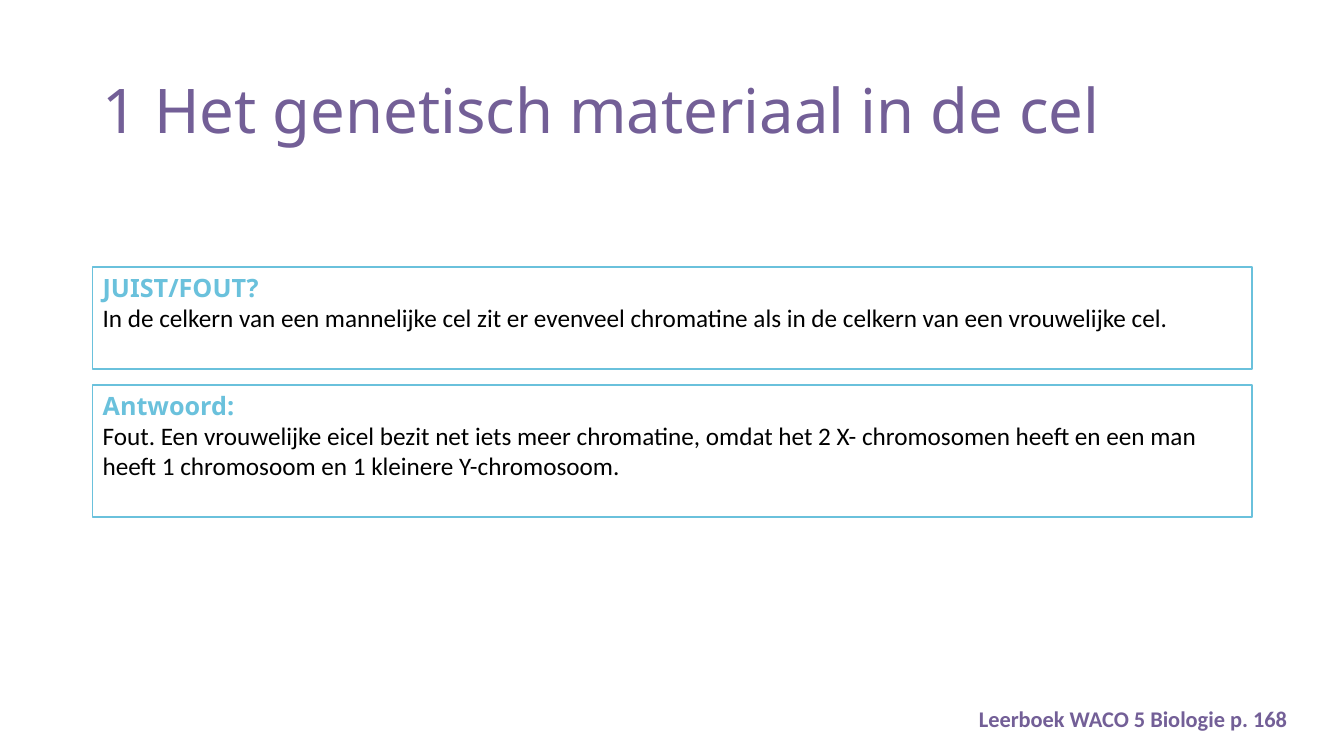
from dataclasses import dataclass

from pptx import Presentation
from pptx.dml.color import RGBColor
from pptx.enum.text import MSO_ANCHOR, MSO_AUTO_SIZE, PP_ALIGN
from pptx.enum.shapes import MSO_SHAPE
from pptx.slide import Slide
from pptx.text.text import Font
from pptx.util import Pt

RECTANGLE = MSO_SHAPE.RECTANGLE
TOP, MIDDLE = MSO_ANCHOR.TOP, MSO_ANCHOR.MIDDLE
NO_AUTOFIT = MSO_AUTO_SIZE.NONE
LEFT, RIGHT = PP_ALIGN.LEFT, PP_ALIGN.RIGHT

COLOURS = {"purple": "735F97", "blue": "6AC1DC", "black": "000000"}
HEADING_FONT = "Noto Sans"
BODY_FONT = "Calibri"
MARGIN_LEFT = 66.24
CONTENT_WIDTH = 828


@dataclass(frozen=True)
class Panel:
    top: float
    height: float
    heading: str
    body: str


PANELS = [
    Panel(190.8, 72.72, "JUIST/FOUT?",
          "In de celkern van een mannelijke cel zit er evenveel chromatine "
          "als in de celkern van een vrouwelijke cel."),
    Panel(275.04, 94.32, "Antwoord:",
          "Fout. Een vrouwelijke eicel bezit net iets meer chromatine, omdat het "
          "2 X- chromosomen heeft en een man heeft 1 chromosoom en 1 kleinere "
          "Y-chromosoom."),
]


def style_font(font: Font, name: str, size: float, colour: str, bold: bool = False) -> None:
    font.name = name
    font.size = Pt(size)
    font.bold = bold
    font.color.rgb = RGBColor.from_string(COLOURS[colour])


def add_title(slide: Slide, wording: str) -> None:
    title = slide.shapes.title
    title.left, title.top = Pt(MARGIN_LEFT), Pt(28.8)
    title.width, title.height = Pt(CONTENT_WIDTH), Pt(104.4)
    frame = title.text_frame
    frame.text = wording
    frame.auto_size = NO_AUTOFIT
    frame.vertical_anchor = MIDDLE
    heading = frame.paragraphs[0]
    heading.alignment = LEFT
    heading.line_spacing = 0.9
    style_font(heading.font, HEADING_FONT, 44, "purple")


def add_panel(slide: Slide, panel: Panel) -> None:
    box = slide.shapes.add_shape(
        RECTANGLE, Pt(MARGIN_LEFT), Pt(panel.top), Pt(CONTENT_WIDTH), Pt(panel.height))
    box.shadow.inherit = False
    box.fill.background()
    box.line.color.rgb = RGBColor.from_string(COLOURS["blue"])
    box.line.width = Pt(1)
    frame = box.text_frame
    frame.word_wrap = True
    frame.auto_size = NO_AUTOFIT
    frame.vertical_anchor = TOP
    frame.text = f"{panel.heading}\n{panel.body}"
    heading, body = frame.paragraphs
    heading.alignment = body.alignment = LEFT
    style_font(heading.font, HEADING_FONT, 18, "blue", bold=True)
    style_font(body.font, BODY_FONT, 18, "black")


def add_reference(slide: Slide, wording: str) -> None:
    reference = slide.shapes.add_textbox(Pt(446.4), Pt(500.4), Pt(480.24), Pt(26.64))
    frame = reference.text_frame
    frame.word_wrap = True
    frame.text = wording
    citation = frame.paragraphs[0]
    citation.alignment = RIGHT
    style_font(citation.font, BODY_FONT, 16, "purple", bold=True)


def main() -> None:
    presentation = Presentation()
    presentation.slide_width, presentation.slide_height = Pt(960), Pt(540)
    slide = presentation.slides.add_slide(presentation.slide_layouts.get_by_name("Title Only"))
    add_title(slide, "1 Het genetisch materiaal in de cel")
    for panel in PANELS:
        add_panel(slide, panel)
    add_reference(slide, "Leerboek WACO 5 Biologie p. 168")
    presentation.save("out.pptx")


if __name__ == "__main__":
    main()
